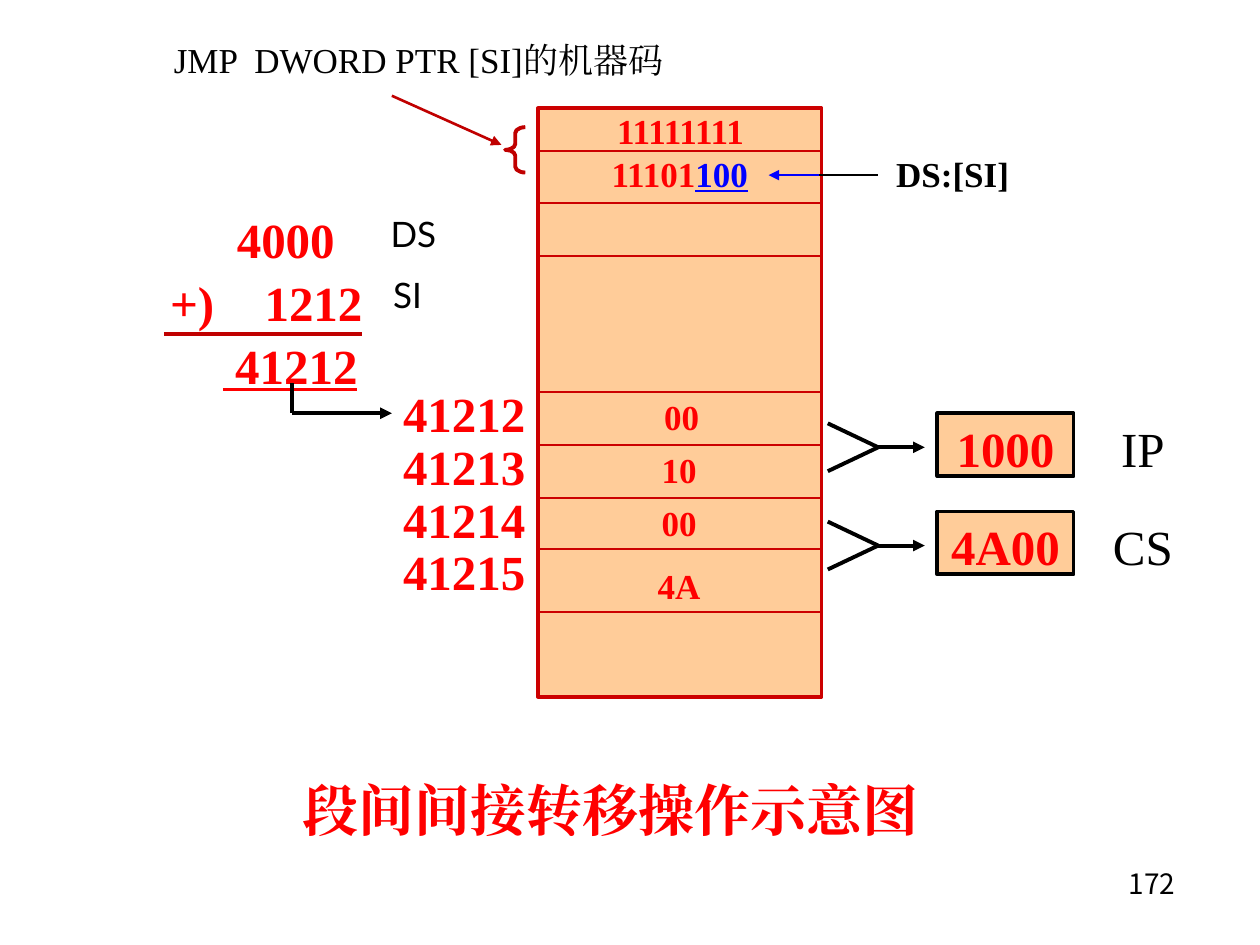
import pptx
import pptx.util
import pptx.dml.color
import pptx.enum.shapes
import pptx.enum.text
import pptx.oxml
import pptx.oxml.ns

Inches, Pt = pptx.util.Inches, pptx.util.Pt
SHAPE = pptx.enum.shapes.MSO_SHAPE
ALIGN = pptx.enum.text.PP_ALIGN
SERIF, SANS, CJK = "Times New Roman", "Lato", "Noto Sans CJK KR"
RED, BORDER, DARK_RED = "FF0000", "CC0000", "C00000"
BLUE, BLACK, PEACH = "0000FF", "000000", "FFCC99"


def rgb(value):
    """Turn a hex string into a colour."""
    return pptx.dml.color.RGBColor.from_string(value)


def add_xml(parent, tag, **attrs):
    """Append a drawing element with the given attributes."""
    e = pptx.oxml.parse_xml(f"<a:{tag} {pptx.oxml.ns.nsdecls('a')}/>")
    for name, value in attrs.items():
        e.set(name, value)
    parent.append(e)


class Diagram:
    """Hold the slide and the style of its elements."""

    def __init__(self, prs):
        """Add a title-only slide."""
        self.s = prs.slides.add_slide(prs.slide_layouts[5])

    def fill_text(self, sp, lines, size, color, bold=False, align=ALIGN.LEFT,
                  font=SERIF, underline=None, spacing=None, inset=None):
        """Fill a shape with paragraphs in one style."""
        tf = sp.text_frame
        tf.word_wrap = True
        tf.auto_size = pptx.enum.text.MSO_AUTO_SIZE.NONE
        tf.vertical_anchor = pptx.enum.text.MSO_ANCHOR.TOP
        tf.margin_left = tf.margin_right = tf.margin_bottom = 0
        tf.margin_top = Pt(size * 0.1 if inset is None else inset)
        for i, line in enumerate(lines):
            p = tf.paragraphs[0] if i == 0 else tf.add_paragraph()
            p.add_run().text = line
            p.alignment = align
            p.line_spacing = spacing
            p.font.size = Pt(size)
            p.font.bold = bold
            p.font.underline = underline
            p.font.name = font
            p.font.color.rgb = rgb(color)
            add_xml(p.font._element, "ea", typeface=font)
        return tf

    def title(self, x, y, w, h, text):
        """Place the slide title."""
        sp = self.s.shapes.title
        sp.left, sp.top, sp.width, sp.height = map(Inches, (x, y, w, h))
        self.fill_text(sp, [text], 32, RED, True)

    def text(self, x, y, w, h, *lines, size=20, color=RED, bold=True, **style):
        """Add a text box."""
        sp = self.s.shapes.add_textbox(*map(Inches, (x, y, w, h)))
        return self.fill_text(sp, lines, size, color, bold, **style)

    def shape(self, kind, x, y, w, h, line, fill=None):
        """Add an outlined preset shape."""
        sp = self.s.shapes.add_shape(kind, *map(Inches, (x, y, w, h)))
        sp.shadow.inherit = False
        if fill:
            sp.fill.solid()
            sp.fill.fore_color.rgb = rgb(fill)
        else:
            sp.fill.background()
        sp.line.color.rgb = rgb(line)
        sp.line.width = Pt(2.25)
        return sp

    def line(self, x1, y1, x2, y2, color=BLACK, width=2.25, arrow=False, shapes=None):
        """Add a straight line, with an arrowhead if asked."""
        c = (shapes or self.s.shapes).add_connector(
            pptx.enum.shapes.MSO_CONNECTOR.STRAIGHT, *map(Inches, (x1, y1, x2, y2)))
        c.line.color.rgb = rgb(color)
        c.line.width = Pt(width)
        if arrow:
            add_xml(c.line._get_or_add_ln(), "tailEnd", type="triangle")
        add_xml(c._element.spPr, "effectLst")

    def register(self, y, value, name):
        """Add a register box, its name and the fork that feeds it."""
        box = self.shape(SHAPE.RECTANGLE, 7.44, y, 1.08, 0.5, BLACK, PEACH)
        self.fill_text(box, [value], 28, RED, True, ALIGN.CENTER)
        self.text(8.78, y, 0.58, 0.47, name, size=28, color=BLACK, bold=False,
                  align=ALIGN.CENTER)
        shapes = self.s.shapes.add_group_shape().shapes
        mid = y + 0.27
        for end in (y + 0.08, y + 0.46):
            self.line(6.57, end, 6.97, mid, shapes=shapes)
        self.line(6.95, mid, 7.34, mid, arrow=True, shapes=shapes)


def main():
    """Build the slide and save it."""
    prs = pptx.Presentation()
    prs.slide_width, prs.slide_height = Inches(10), Inches(7.5)
    d = Diagram(prs)
    d.title(2.4, 6.11, 5.12, 0.54, "段间间接转移操作示意图")
    d.text(8.96, 6.88, 0.59, 0.42, "172", size=16, color=BLACK, bold=False,
           font=CJK, inset=0)

    for x, y, w, number in ((1.88, 1.62, 0.84, "4000"), (2.1, 2.12, 1.17, "1212"),
                            (1.35, 2.12, 0.58, "+)")):
        d.text(x, y, w, 0.47, number, size=28)
    d.text(1.77, 2.62, 1.5, 0.47, " 41212", size=28, underline=True)
    d.line(1.3, 2.65, 2.87, 2.65, DARK_RED)
    for x, y, name in ((3.1, 1.69, "DS"), (3.12, 2.17, "SI")):
        d.text(x, y, 0.48, 0.4, name, color=BLACK, bold=False, font=SANS, inset=0)
    d.line(2.32, 3.04, 2.32, 3.28)
    d.line(2.32, 3.28, 3.11, 3.28, arrow=True)

    d.shape(SHAPE.RECTANGLE, 4.27, 0.86, 2.25, 4.67, BORDER, PEACH)
    for y in (1.2, 1.61, 2.03, 3.11, 3.53, 3.95, 4.36, 4.86):
        d.line(4.27, y, 6.52, y, BORDER, 1)
    for x, y, w, value in ((4.69, 0.84, 1.42, "11111111"), (5.19, 3.11, 0.44, "00"),
                           (5.17, 3.53, 0.44, "10"), (5.17, 3.95, 0.44, "00"),
                           (5.17, 4.45, 0.44, "4A")):
        d.text(x, y, w, 0.4, value, align=ALIGN.CENTER)
    tf = d.text(4.53, 1.18, 1.73, 0.4, "11101", align=ALIGN.CENTER)
    r = tf.paragraphs[0].add_run()
    r.text = "100"
    r.font.underline = True
    r.font.color.rgb = rgb(BLUE)
    d.text(3.11, 3.09, 1.06, 1.68, "41212", "41213", "41214", "41215", size=28,
           align=ALIGN.RIGHT, spacing=Pt(30.2), inset=0)

    d.register(3.28, "1000", "IP")
    d.register(4.06, "4A00", "CS")

    d.text(1.38, 0.28, 4.73, 0.4, "JMP  DWORD PTR [SI]的机器码", color=BLACK, bold=False)
    d.line(3.11, 0.76, 3.98, 1.15, DARK_RED, 1.5, arrow=True)
    brace = d.shape(SHAPE.LEFT_BRACE, 4.01, 1.01, 0.16, 0.36, DARK_RED)
    brace.adjustments[0] = 0.29
    d.line(6.5, 1.39, 6.1, 1.39, BLUE, 1.5, arrow=True)
    d.line(6.5, 1.39, 6.97, 1.39, width=1)
    d.text(7.05, 1.18, 1.02, 0.4, "DS:[SI]", color=BLACK, align=ALIGN.CENTER)
    prs.save("out.pptx")


if __name__ == "__main__":
    main()
